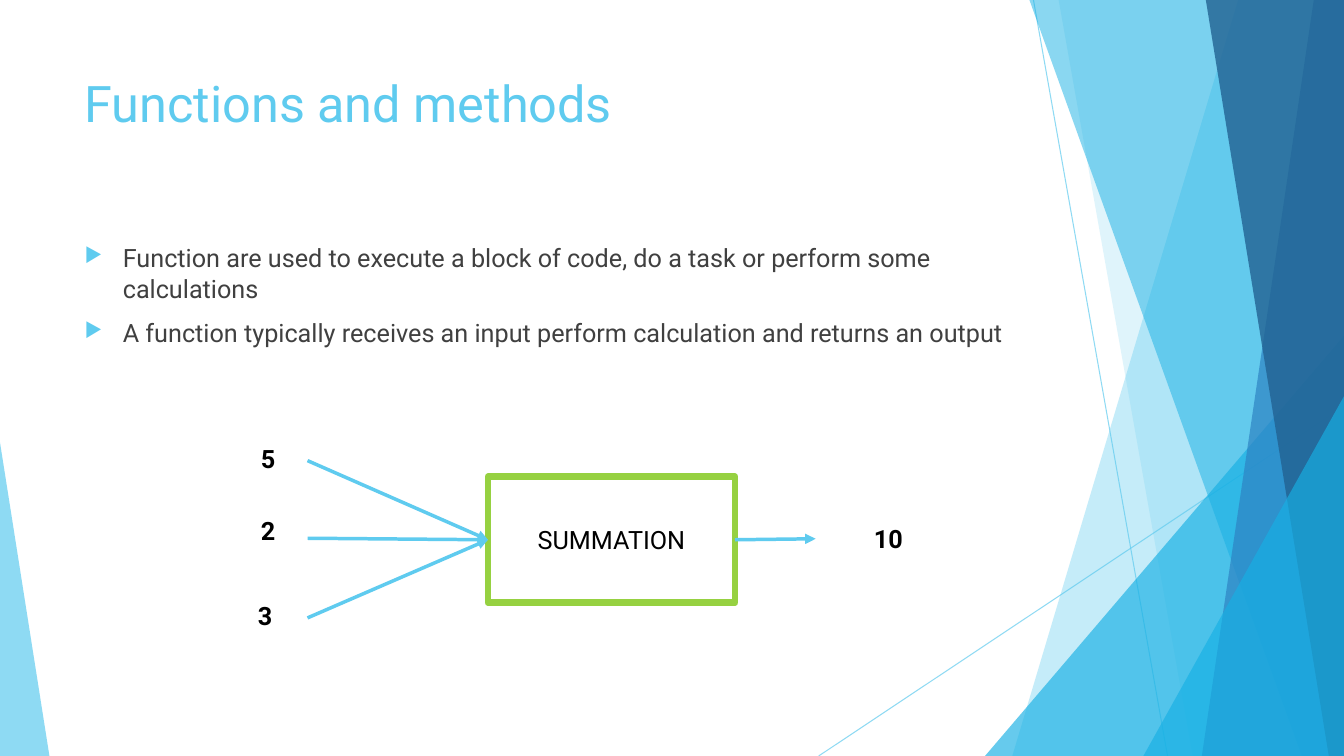
from lxml.etree import SubElement
from pptx import Presentation
from pptx.dml.color import RGBColor
from pptx.enum.shapes import MSO_CONNECTOR as Connector, MSO_SHAPE as Shape
from pptx.enum.text import MSO_ANCHOR as Anchor, PP_ALIGN as Align
from pptx.oxml.ns import qn
from pptx.util import Inches, Pt

SLIDE_W, SLIDE_H = 13.33, 7.5
FONT = "Roboto"
SKY = RGBColor(0x5F, 0xCB, 0xEF)
CYAN = RGBColor(0x17, 0xB0, 0xE4)
BLUE = RGBColor(0x2E, 0x83, 0xC3)
NAVY = RGBColor(0x22, 0x62, 0x92)
GREEN = RGBColor(0x96, 0xD1, 0x41)
GRAY = RGBColor(0x40, 0x40, 0x40)
BLACK = RGBColor(0, 0, 0)
WHITE = RGBColor(0xFF, 0xFF, 0xFF)


def set_opacity(part, percent):
    for color in part._element.spPr.iter(qn("a:srgbClr")):
        SubElement(color, qn("a:alpha"), val=str(percent * 1000))


def fill_facet(facet, color, opacity):
    facet.shadow.inherit = False
    facet.fill.solid()
    facet.fill.fore_color.rgb = color
    facet.line.fill.background()
    set_opacity(facet, opacity)


def add_line(slide, start, end, width):
    line = slide.shapes.add_connector(
        Connector.STRAIGHT, *(Inches(v) for v in (*start, *end)))
    line.line.color.rgb = SKY
    line.line.width = Pt(width)
    SubElement(line._element.spPr, qn("a:effectLst"))
    return line


def add_arrow(slide, start, end):
    arrow = add_line(slide, start, end, 2.5)
    SubElement(arrow.line._get_or_add_ln(), qn("a:tailEnd"), type="triangle")
    return arrow


def add_run(paragraph, text, size, color, bold=False):
    run = paragraph.add_run()
    run.text = text
    run.font.name = FONT
    run.font.size = Pt(size)
    run.font.color.rgb = color
    run.font.bold = bold


def add_text_frame(slide, left, top, width, height):
    box = slide.shapes.add_textbox(
        Inches(left), Inches(top), Inches(width), Inches(height))
    box.text_frame.word_wrap = True
    return box.text_frame


def draw_facets(slide, width, height):
    """Translucent facets along the right edge and in the lower left corner."""
    def band(top_x, bottom_x, color, opacity):
        builder = slide.shapes.build_freeform(Inches(top_x), 0)
        builder.add_line_segments(
            [(Inches(x), Inches(y)) for x, y in
             ((width, 0), (width, height), (bottom_x, height))])
        fill_facet(builder.convert_to_shape(), color, opacity)

    def corner(left, top, facet_width, apex, color, opacity):
        triangle = slide.shapes.add_shape(
            Shape.ISOSCELES_TRIANGLE, Inches(left), Inches(top),
            Inches(facet_width), Inches(height - top))
        triangle.adjustments[0] = apex
        fill_facet(triangle, color, opacity)

    # Thin crossing lines
    for start, end in (((10.25, 0), (11.58, height)),
                       ((width, 4.03), (8.12, height))):
        set_opacity(add_line(slide, start, end, 0.75), 70)

    # Facets from back to front
    band(12.28, 10.04, SKY, 36)
    band(10.5, 11.83, SKY, 20)
    corner(9.77, 3.33, width - 9.77, 1, CYAN, 66)
    band(10.21, 12.91, CYAN, 50)
    band(13.03, 11.92, BLUE, 70)
    band(11.96, 13.18, NAVY, 80)
    corner(11.34, 3.93, width - 11.34, 1, CYAN, 66)
    corner(0, 4.39, 0.49, 0, SKY, 70)


def write_title(slide, left, top, width, height):
    frame = add_text_frame(slide, left, top, width, height)
    add_run(frame.paragraphs[0], "Functions and methods", 36, SKY)


def write_bullets(slide, left, top, width, height):
    frame = add_text_frame(slide, left, top, width, height)
    points = (
        "Function are used to execute a block of code, do a task or perform "
        "some calculations",
        "A function typically receives an input perform calculation and "
        "returns an output",
    )
    for index, point in enumerate(points):
        paragraph = frame.add_paragraph() if index else frame.paragraphs[0]
        props = paragraph._p.get_or_add_pPr()
        props.set("marL", str(Inches(0.38)))
        props.set("indent", str(-Inches(0.38)))
        bullet_color = SubElement(props, qn("a:buClr"))
        SubElement(bullet_color, qn("a:srgbClr"), val=str(SKY))
        SubElement(props, qn("a:buSzPct"), val="80000")
        SubElement(props, qn("a:buChar"), char="▶")
        if index:
            paragraph.space_before = Pt(10)
        add_run(paragraph, point, 18, GRAY)


def draw_summation(slide, left, top, width, height):
    """Function box with its inputs on the left and its output on the right."""
    summation = slide.shapes.add_shape(
        Shape.RECTANGLE, Inches(left), Inches(top),
        Inches(width), Inches(height))
    summation.shadow.inherit = False
    summation.fill.solid()
    summation.fill.fore_color.rgb = WHITE
    summation.line.color.rgb = GREEN
    summation.line.width = Pt(4.75)
    summation.text_frame.vertical_anchor = Anchor.MIDDLE
    label = summation.text_frame.paragraphs[0]
    label.alignment = Align.CENTER
    add_run(label, "SUMMATION", 18, BLACK)

    def number(text, x, y):
        frame = add_text_frame(slide, x, y, 0.56, 0.4)
        add_run(frame.paragraphs[0], text, 18, BLACK, bold=True)

    right, middle = left + width, top + height / 2

    # Output
    output_arrow = add_arrow(slide, (right, middle), (right + 0.8, middle - 0.01))
    output_arrow.begin_connect(summation, 3)
    number("10", right + 1.28, top + 0.41)

    # Inputs: value, text offset from the box corner, arrow start offset
    inputs = (("5", -2.35, -0.38, -0.16),
              ("2", -2.35, 0.33, 0.61),
              ("3", -2.38, 1.18, 1.4))
    for value, text_dx, text_dy, arrow_dy in inputs:
        input_arrow = add_arrow(
            slide, (left - 1.79, top + arrow_dy), (left, middle))
        input_arrow.end_connect(summation, 1)
        number(value, left + text_dx, top + text_dy)


def main():
    deck = Presentation()
    deck.slide_width, deck.slide_height = Inches(SLIDE_W), Inches(SLIDE_H)
    slide = deck.slides.add_slide(deck.slide_layouts[6])
    draw_facets(slide, SLIDE_W, SLIDE_H)
    write_title(slide, 0.74, 0.67, 9.4, 1.44)
    write_bullets(slide, 0.74, 2.36, 9.4, 4.24)
    draw_summation(slide, 4.84, 4.73, 2.45, 1.25)
    deck.save("out.pptx")


if __name__ == "__main__":
    main()
